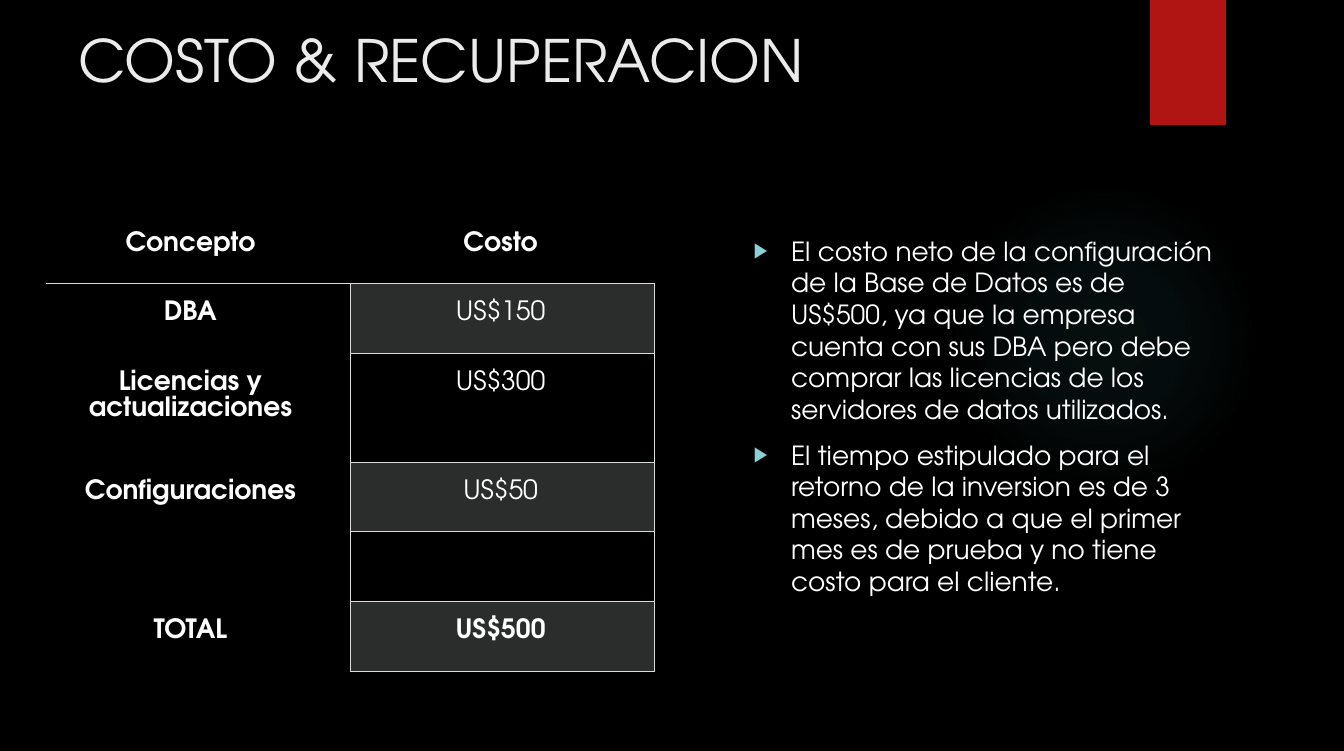
"""Build the cost and recovery slide with its price table and notes."""
from lxml import etree
from pptx import Presentation
from pptx import util as u
from pptx.dml.color import RGBColor
from pptx.enum import shapes, text
from pptx.oxml import parse_xml
from pptx.oxml.ns import nsdecls, qn

BLACK = RGBColor(0x00, 0x00, 0x00)
WHITE = RGBColor(0xFF, 0xFF, 0xFF)
SOFT_WHITE = RGBColor(0xEB, 0xEB, 0xEB)
RED = RGBColor(0xB0, 0x15, 0x13)
TEAL = RGBColor(0x50, 0xB9, 0xC1)
AQUA = RGBColor(0x8A, 0xD0, 0xD6)
PALE = RGBColor(0xD8, 0xDE, 0xDC)
RULE = RGBColor(0xD8, 0xDC, 0xDC)

COSTS = [
    ("Concepto", "Costo"),
    ("DBA", "US$150"),
    ("Licencias y actualizaciones", "US$300"),
    ("Configuraciones", "US$50"),
    ("", ""),
    ("TOTAL", "US$500"),
]
NOTES = [
    "El costo neto de la configuración de la Base de Datos es de US$500, ya que la empresa "
    "cuenta con sus DBA pero debe comprar las licencias de los servidores de datos utilizados.",
    "El tiempo estipulado para el retorno de la inversion es de 3 meses, debido a que el primer "
    "mes es de prueba y no tiene costo para el cliente.",
]


def apply(target, values):
    """Set each named attribute of the target."""
    for name, value in values.items():
        setattr(target, name, value)


class SlideBuilder:
    """Hold the style and the current slide, measured in a 100 by 100 grid."""

    font_name = "TeX Gyre Adventor"

    def __init__(self, presentation):
        """Add a title and content slide with a black background."""
        self.column = presentation.slide_width / 100
        self.row = presentation.slide_height / 100
        self.slide = presentation.slides.add_slide(presentation.slide_layouts[1])
        self.slide.background.fill.solid()
        self.slide.background.fill.fore_color.rgb = BLACK

    def x(self, columns):
        """Convert grid columns to a length."""
        return round(columns * self.column)

    def y(self, rows):
        """Convert grid rows to a length."""
        return round(rows * self.row)

    def box(self, left, top, width, height):
        """Convert a grid rectangle to lengths."""
        return self.x(left), self.y(top), self.x(width), self.y(height)

    def style(self, paragraph, size, color, bold=False):
        """Format the font of a paragraph."""
        apply(paragraph.font, {"name": self.font_name, "size": u.Pt(size), "bold": bold})
        paragraph.font.color.rgb = color

    def block(self, kind, area, color):
        """Add a plain filled shape."""
        shape = self.slide.shapes.add_shape(kind, *self.box(*area))
        shape.shadow.inherit = False
        shape.fill.solid()
        shape.fill.fore_color.rgb = color
        shape.line.fill.background()
        return shape

    def glow(self, area, color, stops):
        """Add an ellipse that fades out from its centre."""
        shape = self.block(shapes.MSO_SHAPE.OVAL, area, color)
        marks = "".join(
            f'<a:gs pos="{place * 1000}"><a:srgbClr val="{color}">'
            f'<a:alpha val="{alpha * 1000}"/></a:srgbClr></a:gs>'
            for place, alpha in stops
        )
        gradient = parse_xml(
            f'<a:gradFill {nsdecls("a")}><a:gsLst>{marks}</a:gsLst><a:path path="circle">'
            '<a:fillToRect l="50000" t="50000" r="50000" b="50000"/></a:path></a:gradFill>'
        )
        properties = shape._element.spPr
        properties.replace(properties.find(qn("a:solidFill")), gradient)

    def place(self, placeholder, area):
        """Move a placeholder to the front of the slide and set its frame."""
        self.slide.shapes._spTree.append(placeholder._element)
        apply(placeholder, dict(zip(("left", "top", "width", "height"), self.box(*area))))
        frame = placeholder.text_frame
        apply(frame, {
            "word_wrap": True,
            "auto_size": text.MSO_AUTO_SIZE.NONE,
            "vertical_anchor": text.MSO_ANCHOR.TOP,
        })
        return frame

    def title(self, wording, area):
        """Fill the title placeholder."""
        frame = self.place(self.slide.shapes.title, area)
        frame.text = wording
        paragraph = frame.paragraphs[0]
        apply(paragraph, {"alignment": text.PP_ALIGN.LEFT, "line_spacing": 1.0})
        self.style(paragraph, 61.6, SOFT_WHITE)

    def bullets(self, items, area):
        """Fill the body placeholder with a bulleted list."""
        frame = self.place(self.slide.placeholders[1], area)
        frame.text = "\n".join(items)
        for index, paragraph in enumerate(frame.paragraphs):
            apply(paragraph, {"line_spacing": 1.0, "space_before": u.Pt(14.7 if index else 0)})
            properties = paragraph._p.get_or_add_pPr()
            indent = u.Inches(0.55)
            properties.set("marL", str(indent))
            properties.set("indent", str(-indent))
            color = etree.SubElement(properties, qn("a:buClr"))
            etree.SubElement(color, qn("a:srgbClr"), val=str(AQUA))
            etree.SubElement(properties, qn("a:buSzPct"), val="80000")
            etree.SubElement(properties, qn("a:buChar"), char="▶")
            self.style(paragraph, 27.8, WHITE)

    def borders(self, cell, sides):
        """Rule the named sides of a cell and clear the others."""
        properties = cell._tc.get_or_add_tcPr()
        for side in "LRTB":
            line = etree.SubElement(properties, qn(f"a:ln{side}"), w=str(u.Pt(0.75)))
            if side in sides:
                fill = etree.SubElement(line, qn("a:solidFill"))
                etree.SubElement(fill, qn("a:srgbClr"), val=str(RULE))
            else:
                etree.SubElement(line, qn("a:noFill"))

    def shade(self, cell, tinted):
        """Give a cell a translucent fill, or none."""
        if not tinted:
            cell.fill.background()
            return
        cell.fill.solid()
        cell.fill.fore_color.rgb = PALE
        color = cell._tc.tcPr.find(qn("a:solidFill")).find(qn("a:srgbClr"))
        etree.SubElement(color, qn("a:alpha"), val="20000")

    def cost_table(self, records, left, top, widths, heights):
        """Add the cost table with ruled and alternately shaded amounts."""
        area = self.box(left, top, sum(widths), sum(heights))
        table = self.slide.shapes.add_table(len(records), len(widths), *area).table
        apply(table, {"first_row": False, "horz_banding": False})
        for column, width in zip(table.columns, widths):
            column.width = self.x(width)
        for row, height in zip(table.rows, heights):
            row.height = self.y(height)
        last = len(records) - 1
        for index, record in enumerate(records):
            for position, wording in enumerate(record):
                cell = table.cell(index, position)
                amount = position == 1 and index > 0
                apply(cell, {
                    "margin_left": self.x(2.39),
                    "margin_right": self.x(2.69 if position else 3.61),
                    "margin_top": self.y(2.18),
                    "margin_bottom": self.y(2.18),
                    "text": wording,
                })
                paragraph = cell.text_frame.paragraphs[0]
                apply(paragraph, {"alignment": text.PP_ALIGN.CENTER, "line_spacing": u.Pt(27.5)})
                self.style(paragraph, 28, WHITE, bold=not amount or index == last)
                label_sides = {0: "B", 1: "TR"}.get(index, "R")
                self.borders(cell, "LRTB" if amount else label_sides)
                self.shade(cell, amount and index % 2 == 1)


def main():
    """Build and save the presentation."""
    presentation = Presentation()
    apply(presentation, {"slide_width": u.Inches(19.69), "slide_height": u.Inches(11)})
    builder = SlideBuilder(presentation)
    builder.glow((70.59, 24.45, 23.11, 41.09), TEAL, [(0, 7), (36, 6), (69, 0), (100, 0)])
    builder.block(shapes.MSO_SHAPE.RECTANGLE, (85.58, 0, 5.64, 16.64), RED)
    builder.title("COSTO & RECUPERACION", (5.33, 2.73, 75.88, 20.64))
    builder.bullets(NOTES, (55.56, 30.82, 36.21, 54.09))
    heights = [14.55 if index == 2 else 9.27 for index in range(len(COSTS))]
    builder.cost_table(COSTS, 3.45, 28.45, [22.65, 22.6], heights)
    presentation.save("out.pptx")


if __name__ == "__main__":
    main()
